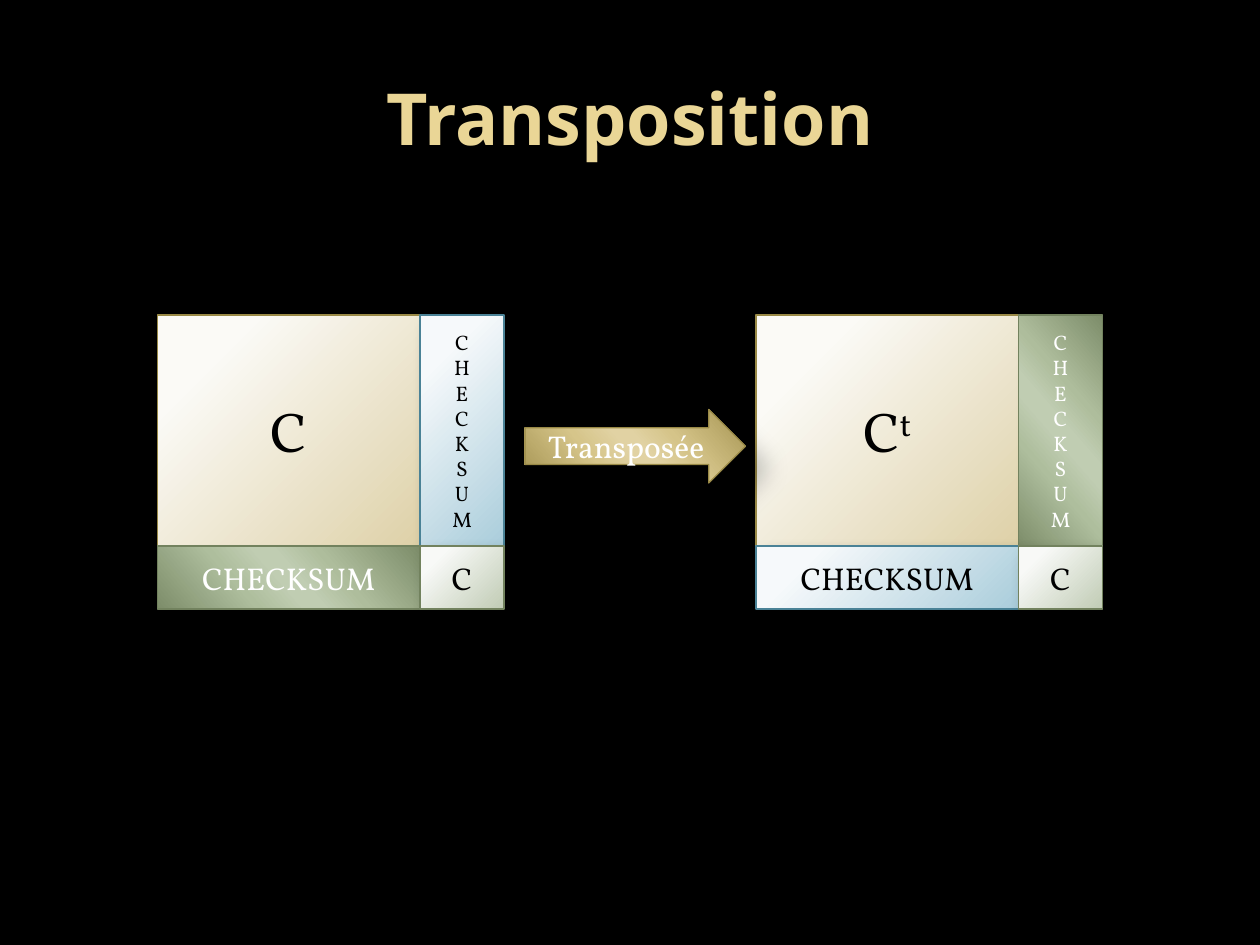
from lxml import etree
from pptx import Presentation, util as u
from pptx.dml.color import RGBColor
from pptx.enum import shapes, text
from pptx.oxml.ns import qn

PX = 9525
BODY_FONT = "Vollkorn"
TITLE_FONT = "Noto Sans"
PROCESS = shapes.MSO_SHAPE.FLOWCHART_PROCESS
RECTANGLE = shapes.MSO_SHAPE.RECTANGLE

LEFT, TOP = 120, 240
MATRIX_GAP = 456
DATA_WIDTH, DATA_HEIGHT = 200, 176
SUM_WIDTH, SUM_HEIGHT = 64, 48

SOFT_SHADOW = dict(opacity=35, blur=10.2, distance=8)
WIDE_SHADOW = dict(opacity=26, blur=15, distance=18)


def pale(start, end, line):
    return dict(stops=[(20, start), (100, end)], line=line, angle=None,
                text_color="000000", shadow=SOFT_SHADOW)


def glossy(edge, inner, middle, outer, line):
    stops = [(0, edge), (33, inner), (47, middle), (53, middle), (68, outer), (100, edge)]
    return dict(stops=stops, line=line, angle=139,
                text_color="FFFFFF", shadow=WIDE_SHADOW)


CREAM = pale("FBFAF6", "DED1A8", "998946")
BLUE = pale("F6F9FB", "AACDDB", "4A8296")
SAGE = pale("F8F9F7", "C1CCB5", "72825E")
GREEN = glossy("7D8D6A", "AEBD9C", "C0CDB2", "AEBE9D", "72825E")
GOLD = glossy("A59452", "D5C489", "E1D2A3", "D6C58A", "998946")


def color(value):
    return RGBColor.from_string(value)


def add_node(parent, tag, **attributes):
    values = {name: str(value) for name, value in attributes.items()}
    return etree.SubElement(parent, qn(tag), values)


def add_color(parent, value):
    return add_node(parent, "a:srgbClr", val=value)


def set_gradient(shape, stops, angle):
    shape.fill.background()
    properties = shape._element.spPr
    gradient = add_node(properties, "a:gradFill", rotWithShape=1)
    properties.replace(properties.find(qn("a:noFill")), gradient)
    stop_list = add_node(gradient, "a:gsLst")
    for position, value in stops:
        add_color(add_node(stop_list, "a:gs", pos=position * 1000), value)
    if angle is None:
        circle = add_node(gradient, "a:path", path="circle")
        add_node(circle, "a:fillToRect", l=-15000, t=-15000, r=115000, b=115000)
    else:
        add_node(gradient, "a:lin", ang=angle * 60000, scaled=1)


def set_shadow(shape, opacity, blur, distance):
    shape.shadow.inherit = False
    effects = shape._element.spPr.find(qn("a:effectLst"))
    shadow = add_node(effects, "a:outerShdw", blurRad=int(u.Pt(blur)),
                      dist=int(u.Pt(distance)), dir=45 * 60000, algn="tl", rotWithShape=0)
    add_node(add_color(shadow, "000000"), "a:alpha", val=opacity * 1000)


def write_text(shape, content, size, font_color, font=BODY_FONT, bold=False, superscript=""):
    frame = shape.text_frame
    frame.word_wrap = True
    frame.vertical_anchor = text.MSO_ANCHOR.MIDDLE
    frame.text = content
    if superscript:
        run = frame.paragraphs[-1].add_run()
        run.text = superscript
        run.font._element.set("baseline", "30000")
    for paragraph in frame.paragraphs:
        paragraph.alignment = text.PP_ALIGN.CENTER
        for run in paragraph.runs:
            run.font.name = font
            run.font.size = u.Pt(size)
            run.font.bold = bold
            run.font.color.rgb = color(font_color)


def add_block(slide, kind, box, style, content, size, superscript=""):
    shape = slide.shapes.add_shape(kind, *(length * PX for length in box))
    set_gradient(shape, style["stops"], style["angle"])
    shape.line.color.rgb = color(style["line"])
    shape.line.width = u.Pt(0.75)
    set_shadow(shape, **style["shadow"])
    write_text(shape, content, size, style["text_color"], superscript=superscript)


def add_matrix(slide, left, column_style, row_style, superscript=""):
    right, bottom = left + DATA_WIDTH, TOP + DATA_HEIGHT
    add_block(slide, PROCESS, (left, TOP, DATA_WIDTH, DATA_HEIGHT), CREAM, "C", 32, superscript)
    add_block(slide, PROCESS, (right, TOP, SUM_WIDTH, DATA_HEIGHT), column_style,
              "\n".join("CHECKSUM"), 12)
    add_block(slide, PROCESS, (left, bottom, DATA_WIDTH, SUM_HEIGHT), row_style, "CHECKSUM", 18)
    add_block(slide, RECTANGLE, (right, bottom, SUM_WIDTH, SUM_HEIGHT), SAGE, "C", 18)


def set_title(slide, content):
    title = slide.shapes.title
    title.left, title.top, title.width, title.height = (
        length * PX for length in (48, 29, 864, 120))
    write_text(title, content, 41, "EAD696", font=TITLE_FONT, bold=True)


def main():
    presentation = Presentation()
    presentation.slide_width = 960 * PX
    presentation.slide_height = 720 * PX
    slide = presentation.slides.add_slide(presentation.slide_layouts[5])
    slide.background.fill.solid()
    slide.background.fill.fore_color.rgb = color("000000")
    set_title(slide, "Transposition")
    add_matrix(slide, LEFT, column_style=BLUE, row_style=GREEN)
    add_matrix(slide, LEFT + MATRIX_GAP, column_style=GREEN, row_style=BLUE, superscript="t")
    add_block(slide, shapes.MSO_SHAPE.RIGHT_ARROW, (400, 312, 168, 56), GOLD, "Transposée", 18)
    presentation.save("out.pptx")


if __name__ == "__main__":
    main()
